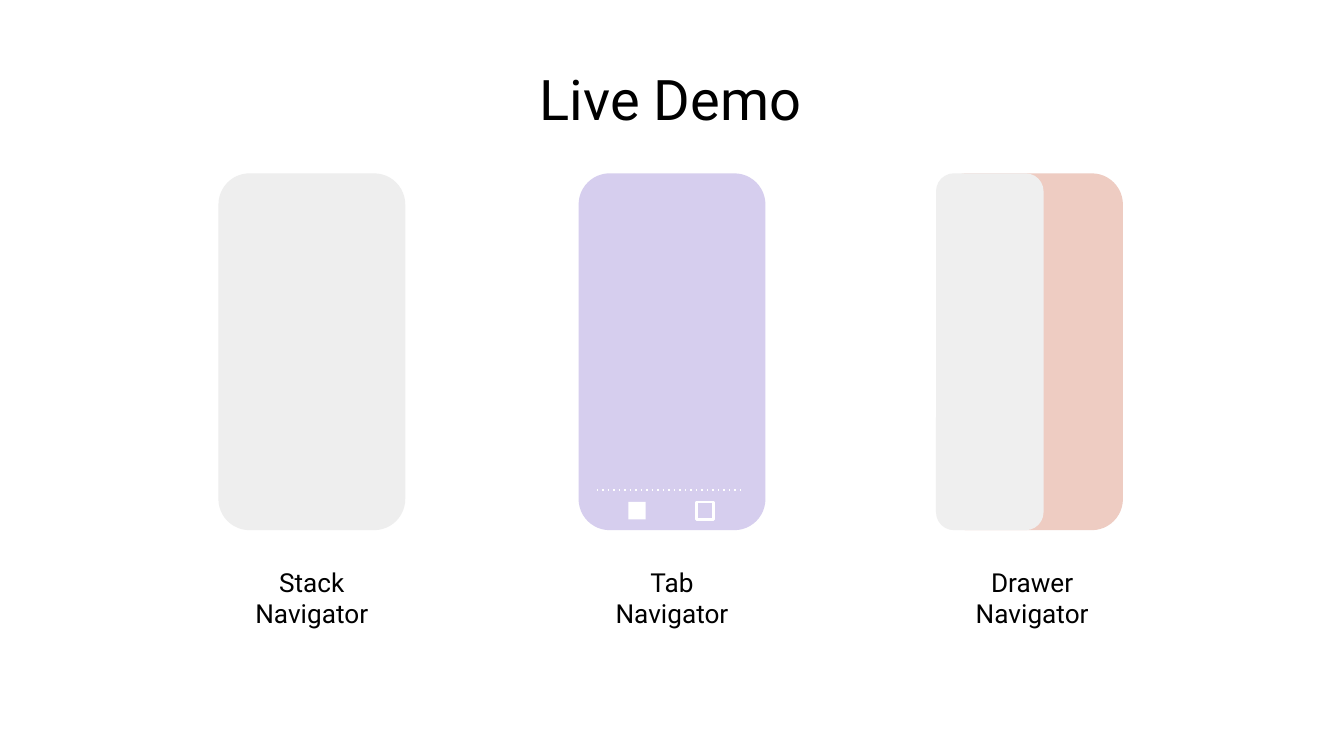
from lxml.etree import SubElement
from pptx import Presentation
from pptx.dml.color import RGBColor
from pptx.enum.dml import MSO_LINE
from pptx.enum.shapes import MSO_CONNECTOR as CONN, MSO_SHAPE as SHAPE
from pptx.enum.text import MSO_ANCHOR as ANCHOR, MSO_AUTO_SIZE as AUTO, PP_ALIGN as ALIGN
from pptx.oxml.ns import qn
from pptx.util import Emu, Pt

PX = 4572  # 200 px to the inch
FONT = "Roboto"
BLACK = RGBColor(0x00, 0x00, 0x00)
WHITE = RGBColor(0xFF, 0xFF, 0xFF)
GREY = RGBColor(0xEE, 0xEE, 0xEE)
LILAC = RGBColor(0xD6, 0xCE, 0xEE)
PEACH = RGBColor(0xEE, 0xCC, 0xC2)
DRAWER_GREY = RGBColor(0xEF, 0xEF, 0xEF)


def px(*values):
    return [Emu(v * PX) for v in values]


def write(tf, *lines, size=14, color=BLACK, align=ALIGN.CENTER):
    """Put each line in its own paragraph of the text frame."""
    tf.word_wrap = True
    tf.auto_size = AUTO.NONE
    tf.vertical_anchor = ANCHOR.TOP
    tf.margin_left = tf.margin_right = tf.margin_top = tf.margin_bottom = Emu(20 * PX)
    for i, line in enumerate(lines):
        p = tf.paragraphs[0] if i == 0 else tf.add_paragraph()
        p.alignment = align
        r = p.add_run()
        r.text = line
        r.font.name, r.font.size, r.font.color.rgb = FONT, Pt(size), color


class Deck:
    def __init__(self, width, height):
        self.prs = Presentation()
        self.prs.slide_width, self.prs.slide_height = px(width, height)
        self.slide = self.prs.slides.add_slide(self.prs.slide_layouts[5])
        self.slide.background.fill.solid()
        self.slide.background.fill.fore_color.rgb = WHITE

    def title(self, text, *box):
        sp = self.slide.shapes.title
        sp.left, sp.top, sp.width, sp.height = px(*box)
        write(sp.text_frame, text, size=30)

    def caption(self, lines, *box):
        sp = self.slide.shapes.add_textbox(*px(*box))
        write(sp.text_frame, *lines)

    def shape(self, kind, *box, fill=None, line=None, weight=1.5):
        sp = self.slide.shapes.add_shape(kind, *px(*box))
        sp.shadow.inherit = False
        if fill is None:
            sp.fill.background()
        else:
            sp.fill.solid()
            sp.fill.fore_color.rgb = fill
        if line is None:
            sp.line.fill.background()
        else:
            sp.line.color.rgb, sp.line.width = line, Pt(weight)

    def dotted_line(self, *ends, color=WHITE, weight=0.75):
        c = self.slide.shapes.add_connector(CONN.STRAIGHT, *px(*ends))
        c.line.color.rgb, c.line.width = color, Pt(weight)
        c.line.dash_style = MSO_LINE.ROUND_DOT
        c._element.find(".//" + qn("a:prstDash")).set("val", "dot")
        SubElement(c._element.spPr, qn("a:effectLst"))


def main():
    deck = Deck(2000, 1125)
    top, width, height = 258, 278, 531

    # Phones with their captions
    phones = [
        (325, GREY, 329, ["Stack Navigator"]),
        (861, LILAC, 865, ["Tab", "Navigator"]),
        (1393, PEACH, 1401, ["Drawer", "Navigator"]),
    ]
    for left, fill, caption_left, lines in phones:
        deck.shape(SHAPE.ROUNDED_RECTANGLE, left, top, width, height, fill=fill)
        deck.caption(lines, caption_left, 823, 270, 148)

    # Tab bar: one selected and one empty tab
    deck.dotted_line(888, 729, 1108, 729)
    for left, style in [(935, {"fill": WHITE}), (1036, {"line": WHITE})]:
        deck.shape(SHAPE.RECTANGLE, left, 747, 26, 26, **style)

    # Open drawer over the last phone
    deck.shape(SHAPE.ROUNDED_RECTANGLE, 1393, top, 160, height, fill=DRAWER_GREY)

    # Title
    deck.title("Live Demo", 325, 76, 1346, 130)

    deck.prs.save("out.pptx")


if __name__ == "__main__":
    main()
